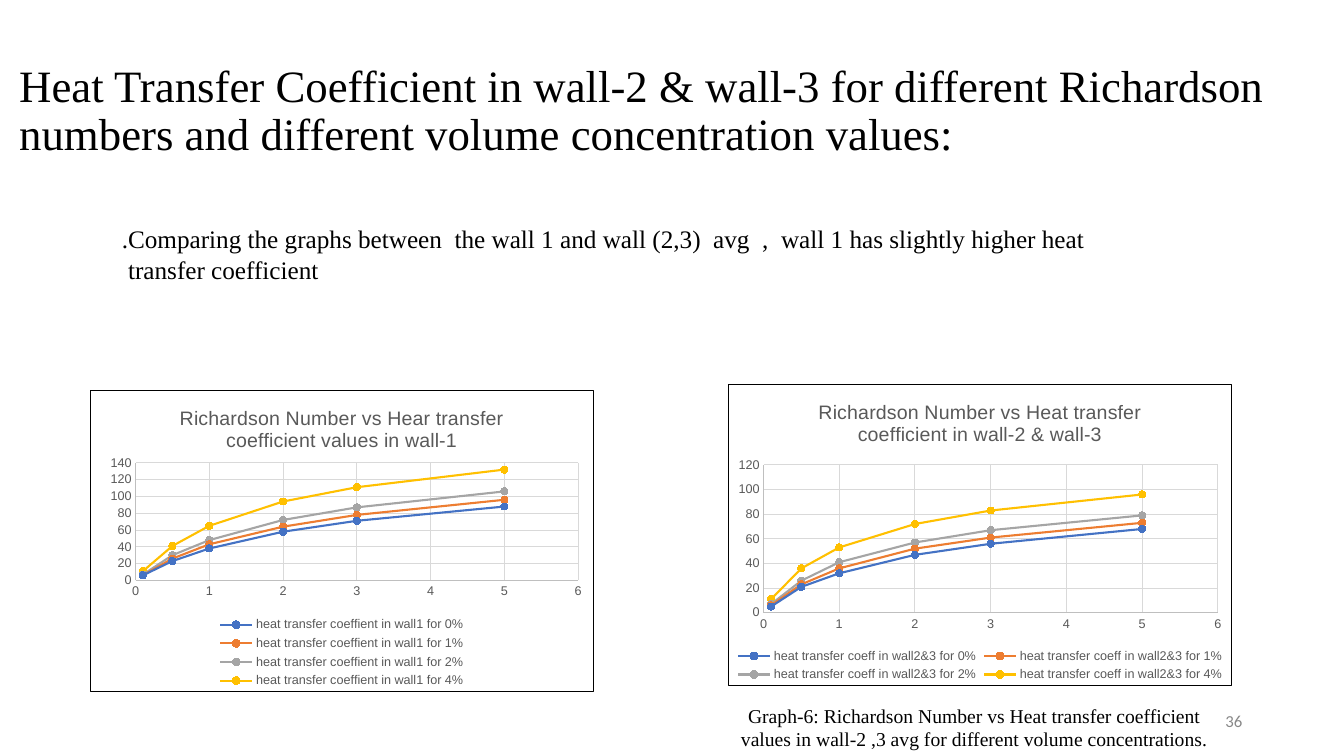
from dataclasses import dataclass

from lxml import etree
from pptx import Presentation
from pptx.chart.data import XyChartData
from pptx.dml.color import RGBColor
from pptx.enum.chart import (XL_CHART_TYPE, XL_LEGEND_POSITION,
                             XL_MARKER_STYLE, XL_TICK_MARK)
from pptx.enum.text import MSO_ANCHOR, MSO_AUTO_SIZE, PP_ALIGN
from pptx.oxml import parse_xml
from pptx.oxml.ns import nsdecls, qn
from pptx.util import Inches, Pt

SMOOTH_SCATTER = XL_CHART_TYPE.XY_SCATTER_SMOOTH
LEGEND_BOTTOM = XL_LEGEND_POSITION.BOTTOM
CIRCLE = XL_MARKER_STYLE.CIRCLE
NO_TICK = XL_TICK_MARK.NONE
MIDDLE, TOP = MSO_ANCHOR.MIDDLE, MSO_ANCHOR.TOP
LEFT, CENTER, RIGHT = PP_ALIGN.LEFT, PP_ALIGN.CENTER, PP_ALIGN.RIGHT

COLORS = {"black": "000000", "white": "FFFFFF", "number": "888888",
          "chart_text": "595959", "axis": "BFBFBF", "grid": "D9D9D9",
          "0%": "4472C4", "1%": "ED7D31", "2%": "A5A5A5", "4%": "FFC000"}
SERIF = "Times New Roman"
RICHARDSON_NUMBERS = (0.1, 0.5, 1, 2, 3, 5)


@dataclass
class Caption:
    box: tuple[float, float, float, float]
    lines: tuple[str, ...]
    size: int
    align: PP_ALIGN = LEFT
    anchor: MSO_ANCHOR = TOP
    font: str = SERIF
    color: str = "black"


@dataclass
class WallChart:
    box: tuple[float, float, float, float]
    title: str
    series_prefix: str
    coefficients: dict[str, tuple[int, ...]]
    axis_max: int
    plot_area: tuple[float, float, float, float] | None = None


CAPTIONS = (
    Caption((1.11, 2.17, 10.24, 0.71),
            (".Comparing the graphs between  the wall 1 and wall (2,3)  avg  ,  "
             "wall 1 has slightly higher heat", " transfer coefficient"), 18),
    Caption((7.15, 6.93, 5.03, 0.57),
            ("Graph-6: Richardson Number vs Heat transfer coefficient values in "
             "wall-2 ,3 avg for different volume concentrations.",), 14, CENTER),
    Caption((9.42, 6.95, 3, 0.4), ("36",), 12, RIGHT, MIDDLE, "Calibri", "number"),
)

WALL_CHARTS = (
    WallChart((7.22, 3.81, 5, 3),
              "Richardson Number vs Heat transfer coefficient in wall-2 & wall-3",
              "heat transfer coeff in wall2&3 for",
              {"0%": (5, 21, 32, 47, 56, 68), "1%": (6, 23, 36, 52, 61, 73),
               "2%": (7, 26, 41, 57, 67, 79), "4%": (11, 36, 53, 72, 83, 96)}, 120),
    WallChart((0.89, 3.87, 5, 3),
              "Richardson Number vs Hear transfer coefficient values in wall-1",
              "heat transfer coeffient in wall1 for",
              {"0%": (6, 23, 38, 58, 71, 88), "1%": (6, 26, 43, 64, 78, 96),
               "2%": (7, 30, 48, 72, 87, 106), "4%": (11, 41, 65, 94, 111, 132)}, 140,
              (0.09, 0.24, 0.88, 0.39)),
)


def rgb(name: str) -> RGBColor:
    return RGBColor.from_string(COLORS[name])


def style_font(font, size: float, color: str, family: str) -> None:
    font.size, font.name, font.bold = Pt(size), family, False
    font.color.rgb = rgb(color)


def style_line(line, color: str, width: float) -> None:
    line.color.rgb, line.width = rgb(color), Pt(width)


def add_title(slide) -> None:
    title = slide.shapes.title
    title.left, title.top, title.width, title.height = map(
        Inches, (0.09, 0.83, 13.51, 1.1))
    frame = title.text_frame
    frame.auto_size, frame.vertical_anchor = MSO_AUTO_SIZE.NONE, MIDDLE
    heading = frame.paragraphs[0]
    heading.alignment, heading.line_spacing = LEFT, 0.9
    run = heading.add_run()
    run.text = ("Heat Transfer Coefficient in wall-2 & wall-3 for different "
                "Richardson numbers and different volume concentration values:")
    style_font(run.font, 32, "black", SERIF)
    # The heading ends in a line break, which lifts it in its box
    heading.add_line_break()
    style_font(heading.font, 32, "black", SERIF)


def add_caption(slide, caption: Caption) -> None:
    frame = slide.shapes.add_textbox(*map(Inches, caption.box)).text_frame
    frame.word_wrap, frame.vertical_anchor = True, caption.anchor
    for index, line in enumerate(caption.lines):
        paragraph = frame.add_paragraph() if index else frame.paragraphs[0]
        paragraph.alignment = caption.align
        run = paragraph.add_run()
        run.text = line
        style_font(run.font, caption.size, caption.color, caption.font)


def style_axis(axis, maximum: int, step: int) -> None:
    axis.minimum_scale, axis.maximum_scale, axis.major_unit = 0, maximum, step
    axis.major_tick_mark = axis.minor_tick_mark = NO_TICK
    axis.has_major_gridlines = True
    style_line(axis.major_gridlines.format.line, "grid", 0.75)
    style_line(axis.format.line, "axis", 0.75)
    style_font(axis.tick_labels.font, 9, "chart_text", "Arial")
    axis.tick_labels.number_format = "General"
    axis.tick_labels.number_format_is_linked = False


def frame_chart(chart) -> None:
    border = parse_xml(
        f'<c:spPr {nsdecls("c", "a")}>'
        f'<a:solidFill><a:srgbClr val="{COLORS["white"]}"/></a:solidFill>'
        f'<a:ln w="{Pt(0.75)}"><a:solidFill><a:srgbClr val="{COLORS["black"]}"/>'
        '</a:solidFill></a:ln></c:spPr>')
    chart.element.find(qn("c:chart")).addnext(border)


def place_plot(chart, plot_area: tuple[float, ...]) -> None:
    area = chart.element.find(".//" + qn("c:plotArea"))
    for layout in area.findall(qn("c:layout")):
        area.remove(layout)
    layout = parse_xml(f'<c:layout {nsdecls("c")}><c:manualLayout/></c:layout>')
    settings = (("layoutTarget", "inner"), ("xMode", "edge"), ("yMode", "edge"),
                *zip("xywh", plot_area))
    for tag, value in settings:
        etree.SubElement(layout[0], qn(f"c:{tag}"), val=str(value))
    area.insert(0, layout)


def add_wall_chart(slide, wall: WallChart) -> None:
    data = XyChartData()
    for concentration, values in wall.coefficients.items():
        series = data.add_series(f"{wall.series_prefix} {concentration}")
        for richardson, coefficient in zip(RICHARDSON_NUMBERS, values):
            series.add_data_point(richardson, coefficient)
    chart = slide.shapes.add_chart(
        SMOOTH_SCATTER, *map(Inches, wall.box), data).chart
    style_font(chart.font, 10, "black", "Arial")
    frame_chart(chart)

    # Chart title and legend
    chart.has_title = True
    run = chart.chart_title.text_frame.paragraphs[0].add_run()
    run.text = wall.title
    style_font(run.font, 14, "chart_text", "Arial")
    chart.chart_title.include_in_layout = False
    chart.has_legend = True
    chart.legend.position = LEGEND_BOTTOM
    chart.legend.include_in_layout = False
    style_font(chart.legend.font, 9, "chart_text", "Arial")

    # Axes and curves
    style_axis(chart.category_axis, 6, 1)
    style_axis(chart.value_axis, wall.axis_max, 20)
    chart.plots[0].vary_by_categories = False
    for curve, concentration in zip(chart.plots[0].series, wall.coefficients):
        curve.smooth = True
        style_line(curve.format.line, concentration, 1.5)
        curve.marker.style, curve.marker.size = CIRCLE, 5
        curve.marker.format.fill.solid()
        curve.marker.format.fill.fore_color.rgb = rgb(concentration)
        style_line(curve.marker.format.line, concentration, 0.75)
    if wall.plot_area:
        place_plot(chart, wall.plot_area)


def main() -> None:
    deck = Presentation()
    deck.slide_width, deck.slide_height = Inches(13.33), Inches(7.5)
    slide = deck.slides.add_slide(deck.slide_layouts[5])
    add_title(slide)
    for wall in WALL_CHARTS:
        add_wall_chart(slide, wall)
    for caption in CAPTIONS:
        add_caption(slide, caption)
    deck.save("out.pptx")


if __name__ == "__main__":
    main()
